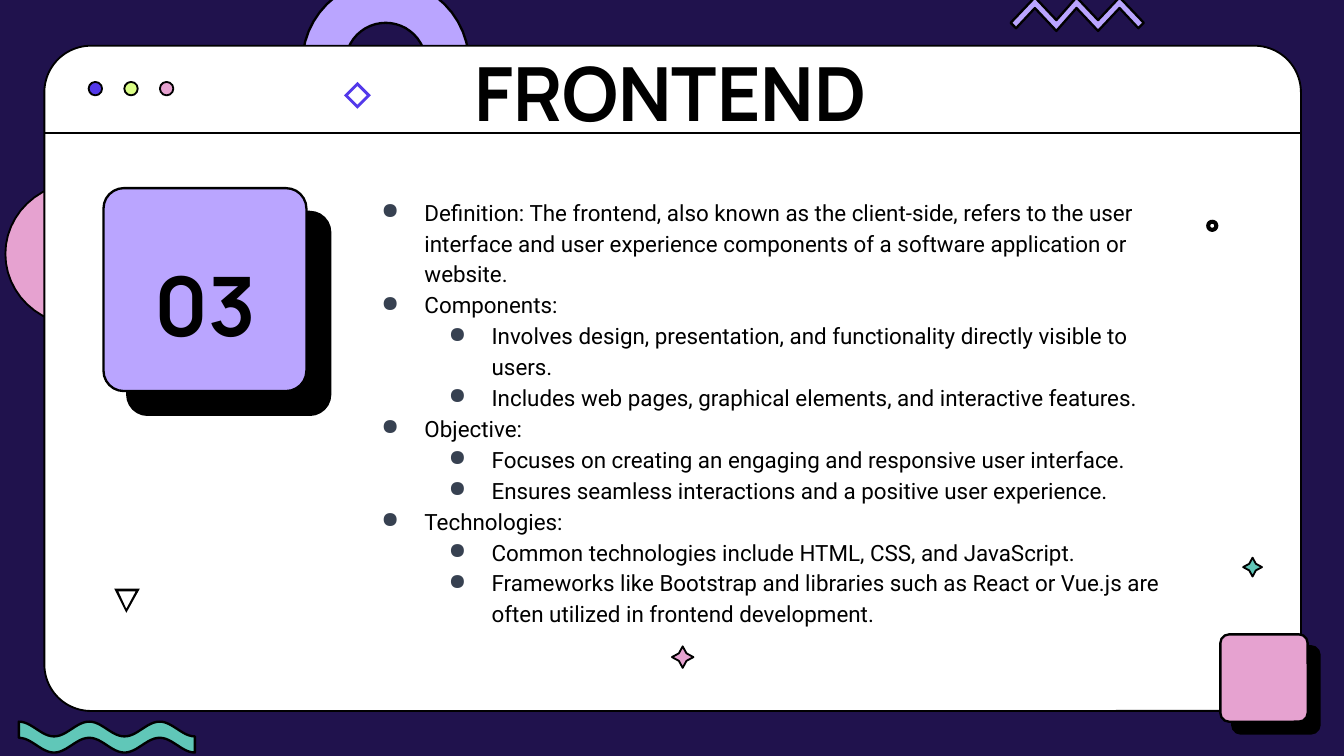
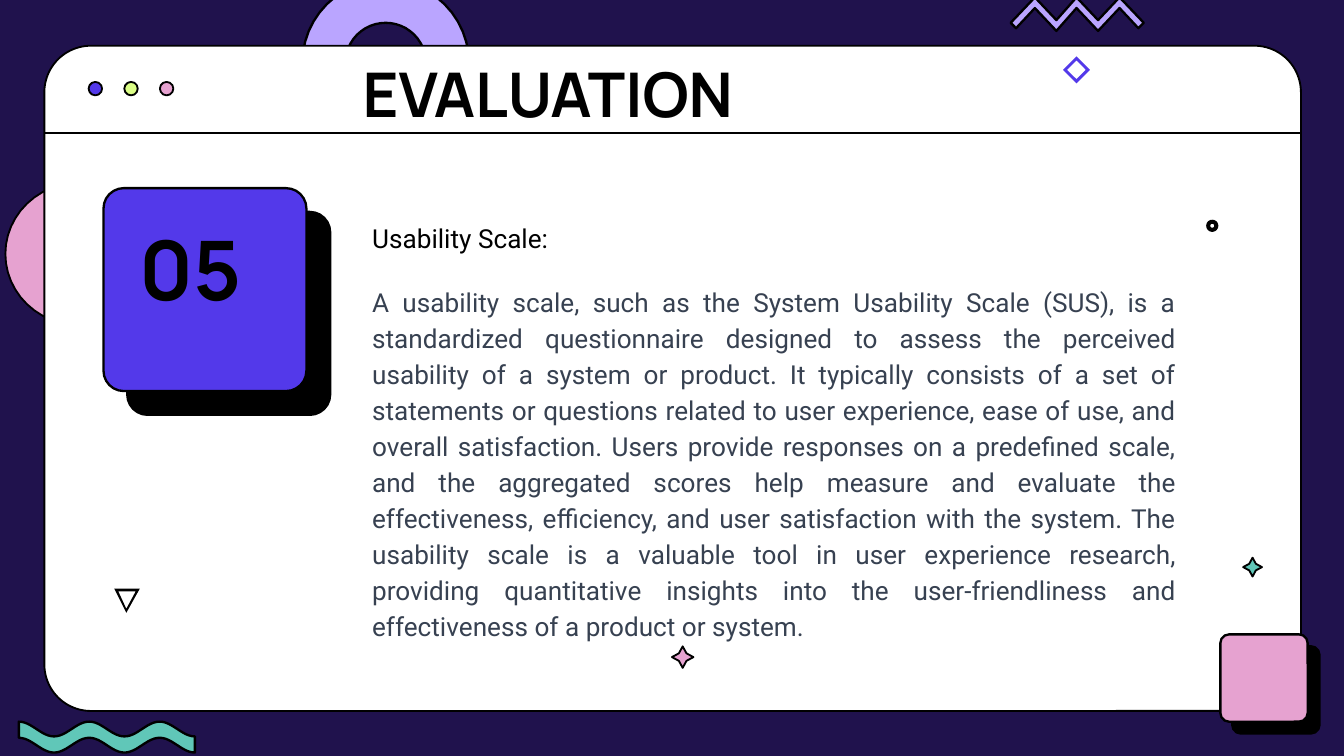
import math
from dataclasses import dataclass

import lxml.etree
import pptx
import pptx.dml.color
import pptx.enum.shapes
import pptx.enum.text
import pptx.oxml.ns
import pptx.util
from pptx.util import Inches

qn = pptx.oxml.ns.qn
SHAPE = pptx.enum.shapes.MSO_SHAPE
ANCHOR = pptx.enum.text.MSO_ANCHOR
ALIGN = pptx.enum.text.PP_ALIGN


@dataclass(frozen=True)
class Theme:
    night: str = "20124D"
    white: str = "FFFFFF"
    black: str = "000000"
    lilac: str = "BAA5FF"
    indigo: str = "5339EA"
    pink: str = "E6A2D0"
    lime: str = "DBFE87"
    teal: str = "60C7B8"
    slate: str = "374151"
    display: str = "Manrope"
    text: str = "Roboto"
    number_size: int = 44
    bullet_size: int = 12
    prose_size: int = 14
    thin: float = 1
    thick: float = 1.25


THEME = Theme()

FRONTEND_POINTS = [
    (0, "Definition: The frontend, also known as the client-side, refers to the user "
        "interface and user experience components of a software application or website."),
    (0, "Components:"),
    (1, "Involves design, presentation, and functionality directly visible to users."),
    (1, "Includes web pages, graphical elements, and interactive features."),
    (0, "Objective:"),
    (1, "Focuses on creating an engaging and responsive user interface."),
    (1, "Ensures seamless interactions and a positive user experience."),
    (0, "Technologies:"),
    (1, "Common technologies include HTML, CSS, and JavaScript."),
    (1, "Frameworks like Bootstrap and libraries such as React or Vue.js are often "
        "utilized in frontend development."),
]

USABILITY_SCALE = (
    "A usability scale, such as the System Usability Scale (SUS), is a standardized "
    "questionnaire designed to assess the perceived usability of a system or product. "
    "It typically consists of a set of statements or questions related to user "
    "experience, ease of use, and overall satisfaction. Users provide responses on a "
    "predefined scale, and the aggregated scores help measure and evaluate the "
    "effectiveness, efficiency, and user satisfaction with the system. The usability "
    "scale is a valuable tool in user experience research, providing quantitative "
    "insights into the user-friendliness and effectiveness of a product or system."
)


# Basic elements

def rgb(color):
    return pptx.dml.color.RGBColor.from_string(color)


def paint(shape, fill, line_width):
    shape.shadow.inherit = False
    shape.fill.solid()
    shape.fill.fore_color.rgb = rgb(fill)
    if line_width:
        shape.line.color.rgb = rgb(THEME.black)
        shape.line.width = pptx.util.Pt(line_width)
    else:
        shape.line.fill.background()


def add_preset(slide, kind, box, fill, line_width=THEME.thin):
    shape = slide.shapes.add_shape(kind, *map(Inches, box))
    paint(shape, fill, line_width)
    return shape


def add_outline(slide, contours, fill, line_width=THEME.thin):
    """Draw closed contours as one freeform; a second contour cuts a hole."""
    scaled = [[(Inches(x), Inches(y)) for x, y in contour] for contour in contours]
    builder = slide.shapes.build_freeform(*scaled[0][0])
    builder.add_line_segments(scaled[0][1:], close=True)
    for contour in scaled[1:]:
        builder.move_to(*contour[0])
        builder.add_line_segments(contour[1:], close=True)
    paint(builder.convert_to_shape(), fill, line_width)


def add_hard_shadow(shape, distance):
    effects = shape._element.spPr.find(qn("a:effectLst"))
    shadow = lxml.etree.SubElement(
        effects, qn("a:outerShdw"), blurRad="0", dist=str(pptx.util.Pt(distance)),
        dir=str(45 * 60000), algn="bl", rotWithShape="0")
    lxml.etree.SubElement(shadow, qn("a:srgbClr"), val=THEME.black)


def add_text_frame(slide, box, anchor=ANCHOR.TOP):
    frame = slide.shapes.add_textbox(*map(Inches, box)).text_frame
    frame.word_wrap = True
    frame.vertical_anchor = anchor
    return frame


def add_paragraph(frame, text, size, font=THEME.text, color=THEME.black, bold=False,
                  align=None, spacing=1.15, before=0, bullet_level=None):
    first = frame.paragraphs[0]
    paragraph = first if not first.runs else frame.add_paragraph()
    paragraph.text = text
    paragraph.line_spacing = spacing
    if align is not None:
        paragraph.alignment = align
    if before:
        paragraph.space_before = pptx.util.Pt(before)
    if bullet_level is not None:
        add_bullet(paragraph, bullet_level)
    paragraph.font.name = font
    paragraph.font.size = pptx.util.Pt(size)
    paragraph.font.bold = bold
    paragraph.font.color.rgb = rgb(color)


def add_bullet(paragraph, level):
    paragraph.level = level
    properties = paragraph._p.get_or_add_pPr()
    properties.set("marL", str(Inches(0.5 * (level + 1))))
    properties.set("indent", str(Inches(-0.32)))
    bullet_color = lxml.etree.SubElement(properties, qn("a:buClr"))
    lxml.etree.SubElement(bullet_color, qn("a:srgbClr"), val=THEME.slate)
    lxml.etree.SubElement(properties, qn("a:buChar"), char="●")


# Outlines

def arc(x, y, radius_x, radius_y, start, end, steps=24):
    angles = (math.radians(start + (end - start) * i / steps) for i in range(steps + 1))
    return [(x + radius_x * math.cos(a), y + radius_y * math.sin(a)) for a in angles]


def circle(x, y, radius):
    return arc(x, y, radius, radius, 0, 360)


def diamond(x, y, radius):
    return arc(x, y, radius, radius, 0, 270, steps=3)


def sparkle(x, y, radius):
    points = []
    for i in range(8):
        reach = radius if i % 2 == 0 else radius / 2
        angle = math.radians(45 * i)
        points.append((x + reach * math.cos(angle), y + reach * math.sin(angle)))
    return points


def arch(x, y, outer, inner):
    middle, cap = (outer + inner) / 2, (outer - inner) / 2
    return (arc(x, y, outer, outer, 180, 360)
            + arc(x + middle, y, cap, cap, 0, 180)
            + arc(x, y, inner, inner, 360, 180)
            + arc(x - middle, y, cap, cap, 0, 180))


def wave(left, top, width, thickness, periods, steps=60):
    crest = []
    for i in range(steps + 1):
        swing = (1 - math.cos(2 * math.pi * periods * i / steps)) / 2
        crest.append((left + width * i / steps, top + 0.11 * swing))
    return crest + [(x, y + thickness) for x, y in reversed(crest)]


def zigzag():
    upper = [(7.52, 0.17), (7.7, -0.02), (7.86, 0.15), (8.01, -0.02),
             (8.17, 0.15), (8.33, -0.02), (8.51, 0.17)]
    lower = [(8.47, 0.21), (8.33, 0.06), (8.17, 0.23), (8.01, 0.06),
             (7.86, 0.23), (7.7, 0.06), (7.56, 0.21)]
    return upper + lower


# Parts shared by the slides

def add_window(slide):
    add_outline(slide, [arch(2.87, 0.47, 0.62, 0.3)], THEME.lilac, THEME.thick)
    add_outline(slide, [arc(0.59, 1.89, 0.55, 0.53, 90, 270)], THEME.pink)
    window = add_preset(slide, SHAPE.ROUNDED_RECTANGLE, (0.33, 0.34, 9.35, 4.95), THEME.white)
    window.adjustments[0] = 0.07
    rule = slide.shapes.add_connector(
        pptx.enum.shapes.MSO_CONNECTOR.STRAIGHT,
        Inches(0.33), Inches(0.99), Inches(9.67), Inches(0.99))
    rule.line.color.rgb = rgb(THEME.black)
    rule.line.width = pptx.util.Pt(THEME.thin)
    lxml.etree.SubElement(rule._element.spPr, qn("a:effectLst"))


def add_tile(slide, left, top, side, fill, shadow_distance):
    tile = add_preset(slide, SHAPE.ROUNDED_RECTANGLE, (left, top, side, side), fill, THEME.thick)
    tile.adjustments[0] = 0.1
    add_hard_shadow(tile, shadow_distance)


def add_decorations(slide, diamond_center):
    add_outline(slide, [sparkle(5.08, 4.89, 0.08)], THEME.pink)
    add_outline(slide, [sparkle(9.32, 4.22, 0.07)], THEME.teal)
    add_outline(slide, [[(0.85, 4.38), (1.04, 4.38), (0.94, 4.56)],
                        [(0.88, 4.4), (0.94, 4.53), (1.01, 4.4)]], THEME.black, 0)
    add_outline(slide, [diamond(*diamond_center, 0.1), diamond(*diamond_center, 0.07)],
                THEME.indigo, 0)
    add_outline(slide, [circle(9.02, 1.68, 0.04), circle(9.02, 1.68, 0.02)],
                THEME.black, 0.75)
    add_tile(slide, 9.08, 4.72, 0.65, THEME.pink, 9)
    for i, color in enumerate((THEME.indigo, THEME.lime, THEME.pink)):
        add_preset(slide, SHAPE.OVAL, (0.66 + 0.53 * i / 2, 0.61, 0.1, 0.1), color)
    add_outline(slide, [wave(0.14, 5.37, 1.31, 0.12, 2.5)], THEME.teal, THEME.thick)
    add_outline(slide, [zigzag()], THEME.lilac, THEME.thick)


def add_section_slide(presentation, title, title_box, title_size,
                      number, number_box, tile_color, diamond_center):
    slide = presentation.slides.add_slide(presentation.slide_layouts[6])
    slide.background.fill.solid()
    slide.background.fill.fore_color.rgb = rgb(THEME.night)
    add_window(slide)
    add_tile(slide, 0.77, 1.4, 1.51, tile_color, 18)
    add_paragraph(add_text_frame(slide, title_box, ANCHOR.BOTTOM), title, title_size,
                  THEME.display, bold=True, spacing=0.9)
    add_paragraph(add_text_frame(slide, number_box, ANCHOR.MIDDLE), number,
                  THEME.number_size, THEME.display, bold=True,
                  align=ALIGN.CENTER, spacing=0.9)
    add_decorations(slide, diamond_center)
    return slide


def main():
    presentation = pptx.Presentation()
    presentation.slide_width = Inches(10)
    presentation.slide_height = Inches(5.625)

    # Frontend
    frontend = add_section_slide(
        presentation, "FRONTEND", (3.43, 0.36, 3.65, 0.71), 40,
        "03", (0.77, 1.91, 1.51, 0.79), THEME.lilac, (2.66, 0.71))
    frame = add_text_frame(frontend, (2.56, 1.4, 6.41, 3.35))
    for level, text in FRONTEND_POINTS:
        add_paragraph(frame, text, THEME.bullet_size, bullet_level=level)

    # Evaluation
    evaluation = add_section_slide(
        presentation, "EVALUATION", (2.6, 0.31, 4.8, 0.71), 33,
        "05", (0.66, 1.64, 1.51, 0.79), THEME.indigo, (8.01, 0.52))
    frame = add_text_frame(evaluation, (2.67, 1.57, 6.18, 3.25))
    add_paragraph(frame, "Usability Scale:", THEME.prose_size, align=ALIGN.JUSTIFY)
    add_paragraph(frame, USABILITY_SCALE, THEME.prose_size, color=THEME.slate,
                  align=ALIGN.JUSTIFY, before=15)

    presentation.save("out.pptx")


if __name__ == "__main__":
    main()
